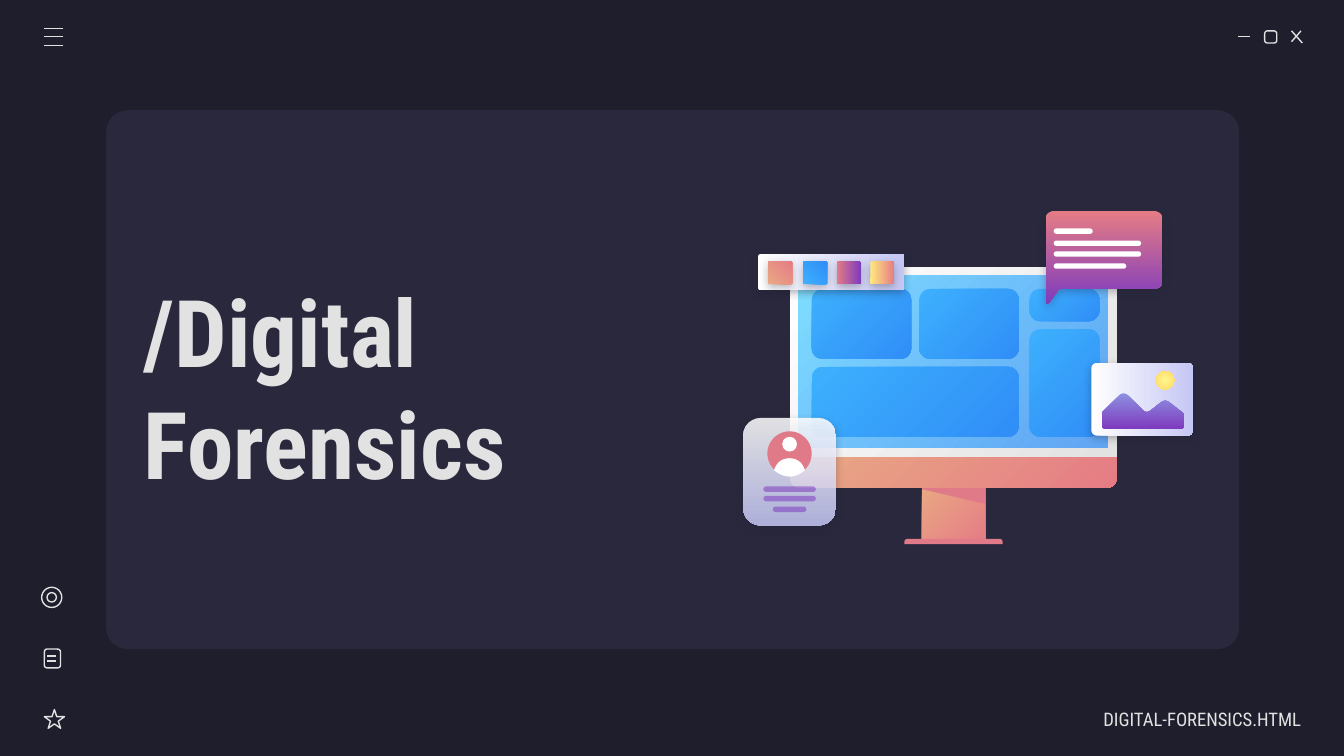
"""Build the Digital Forensics title slide with its monitor illustration."""
from dataclasses import dataclass
from typing import Optional

from lxml import etree
from pptx import Presentation
from pptx.dml.color import RGBColor
from pptx.enum.shapes import MSO_CONNECTOR, MSO_SHAPE
from pptx.enum.text import MSO_ANCHOR, MSO_AUTO_SIZE, PP_ALIGN
from pptx.oxml.ns import qn
from pptx.util import Inches, Pt

RECTANGLE = MSO_SHAPE.RECTANGLE
ROUNDED = MSO_SHAPE.ROUNDED_RECTANGLE
ROUND_TOP = MSO_SHAPE.ROUND_2_SAME_RECTANGLE
OVAL = MSO_SHAPE.OVAL
STAR = MSO_SHAPE.STAR_5_POINT
STRAIGHT = MSO_CONNECTOR.STRAIGHT
MIDDLE = MSO_ANCHOR.MIDDLE
NO_AUTOFIT = MSO_AUTO_SIZE.NONE
LEFT = PP_ALIGN.LEFT
RIGHT = PP_ALIGN.RIGHT
LIGHT = "E2E2E2"
DARK = "1E1E2C"
WHITE = "FFFFFF"
ROSE = "E07A88"
FONT = "Roboto Condensed"
CURVE_STEPS = 8


@dataclass
class Paint:
    """A solid or two-stop fill; no angle on a gradient means radial."""
    start: str
    end: Optional[str] = None
    angle: Optional[int] = None
    opacity: tuple = (100, 100)


@dataclass
class Box:
    """A preset shape; without paint it is a thin outlined icon."""
    kind: int
    left: float
    top: float
    width: float
    height: float
    paint: Optional[Paint] = None
    radius: float = 0
    shadow: bool = False
    rotation: int = 0


CORAL = Paint("E9A984", "E57C85", 45)
SKY = Paint("3DB0FD", "308EF7", 45)
SUNSET = Paint("E57C85", "7E3BBE", 90)
PAPER = Paint(WHITE, "C5C7F4", 90)
VIOLET = Paint("7E3BBE", opacity=(54, 54))


def rgb(value: str) -> RGBColor:
    """Turn a hex string into a colour."""
    return RGBColor.from_string(value)


def add_effect(parent, tag: str, **attributes):
    """Append a drawing element with the given attributes."""
    values = {name: str(value) for name, value in attributes.items()}
    return etree.SubElement(parent, qn(tag), values)


def apply_paint(shape, paint: Paint) -> None:
    """Fill a shape with a solid colour or a gradient."""
    fill = shape.fill
    if paint.end is None:
        fill.solid()
        fill.fore_color.rgb = rgb(paint.start)
    else:
        fill.gradient()
        for stop, color in zip(fill.gradient_stops, (paint.start, paint.end)):
            stop.color.rgb = rgb(color)
        if paint.angle is not None:
            fill.gradient_angle = 360 - paint.angle
        else:
            linear = shape.element.spPr.find(".//" + qn("a:lin"))
            gradient = linear.getparent()
            gradient.remove(linear)
            circle = add_effect(gradient, "a:path", path="circle")
            add_effect(circle, "a:fillToRect", l=50000, t=50000, r=50000, b=50000)
    for color, opacity in zip(shape.element.spPr.iter(qn("a:srgbClr")), paint.opacity):
        if opacity < 100:
            add_effect(color, "a:alpha", val=opacity * 1000)


def finish(shape, paint: Optional[Paint], shadow: bool = False) -> None:
    """Set the fill, outline and shadow of a shape."""
    shape.shadow.inherit = False
    if paint:
        apply_paint(shape, paint)
        shape.line.fill.background()
    else:
        shape.fill.background()
        shape.line.color.rgb = rgb(LIGHT)
        shape.line.width = Pt(0.75)
    if shadow:
        effects = shape.element.spPr.find(qn("a:effectLst"))
        outer = add_effect(effects, "a:outerShdw", blurRad=Pt(4.5), dist=Pt(1.5),
                           dir=5400000, algn="bl", rotWithShape=0)
        color = add_effect(outer, "a:srgbClr", val=DARK)
        add_effect(color, "a:alpha", val=30000)


def draw_box(slide, box: Box):
    """Draw one preset shape."""
    shape = slide.shapes.add_shape(box.kind, Inches(box.left), Inches(box.top),
                                   Inches(box.width), Inches(box.height))
    if box.radius:
        shape.adjustments[0] = min(0.5, box.radius / min(box.width, box.height))
    shape.rotation = box.rotation
    finish(shape, box.paint, box.shadow)
    return shape


def draw_line(slide, x1: float, y1: float, x2: float, y2: float) -> None:
    """Draw a thin icon stroke."""
    line = slide.shapes.add_connector(STRAIGHT, Inches(x1), Inches(y1), Inches(x2), Inches(y2))
    line.line.color.rgb = rgb(LIGHT)
    line.line.width = Pt(0.75)
    add_effect(line.element.spPr, "a:effectLst")


def round_corners(corners: list) -> list:
    """Replace each (x, y, radius) corner by points along a curve."""
    points = []
    for index, (x, y, radius) in enumerate(corners):
        ends = []
        for other in (corners[index - 1], corners[(index + 1) % len(corners)]):
            dx, dy = other[0] - x, other[1] - y
            share = radius / (dx * dx + dy * dy) ** 0.5
            ends.append((x + dx * share, y + dy * share))
        (x1, y1), (x2, y2) = ends
        steps = CURVE_STEPS if radius else 1
        for step in range(steps + 1 if radius else 1):
            t = step / steps
            a, b, c = (1 - t) ** 2, 2 * t * (1 - t), t * t
            points.append((a * x1 + b * x + c * x2, a * y1 + b * y + c * y2))
    return points


def draw_outline(slide, corners: list, paint: Paint, shadow: bool = False) -> None:
    """Draw a closed outline with rounded corners."""
    points = [(Inches(x), Inches(y)) for x, y in round_corners(corners)]
    builder = slide.shapes.build_freeform(*points[0])
    builder.add_line_segments(points[1:], close=True)
    finish(builder.convert_to_shape(), paint, shadow)


def fill_placeholder(shape, text: str, frame: tuple, size: int, align, bold: bool) -> None:
    """Place and format a text placeholder."""
    shape.left, shape.top, shape.width, shape.height = (Inches(value) for value in frame)
    text_frame = shape.text_frame
    text_frame.text = text
    text_frame.word_wrap = True
    text_frame.auto_size = NO_AUTOFIT
    text_frame.vertical_anchor = MIDDLE
    text_frame.margin_left = text_frame.margin_top = text_frame.margin_bottom = Inches(0.1)
    text_frame.margin_right = Inches(0 if align == RIGHT else 0.1)
    paragraph = text_frame.paragraphs[0]
    paragraph.alignment = align
    paragraph.space_before = Pt(0)
    font = paragraph.font
    font.name, font.size, font.bold = FONT, Pt(size), bold
    font.color.rgb = rgb(LIGHT)


def draw_icons(slide) -> None:
    """Draw the window controls, menu and side icons."""
    for stroke in ((9.21, 0.27, 9.3, 0.27), (9.61, 0.23, 9.69, 0.32), (9.68, 0.23, 9.61, 0.31)):
        draw_line(slide, *stroke)
    for y in (0.21, 0.27, 0.34):
        draw_line(slide, 0.33, y, 0.47, y)
    for box in (Box(ROUNDED, 9.41, 0.23, 0.09, 0.09, radius=0.02),
                Box(STAR, 0.33, 5.28, 0.15, 0.14),
                Box(ROUNDED, 0.33, 4.83, 0.12, 0.14, radius=0.02),
                Box(OVAL, 0.31, 4.37, 0.15, 0.15),
                Box(OVAL, 0.35, 4.41, 0.07, 0.07)):
        draw_box(slide, box)
    for y in (4.88, 4.92):
        draw_line(slide, 0.35, y, 0.42, y)


def draw_monitor(slide) -> None:
    """Draw the monitor with its tiled screen."""
    draw_box(slide, Box(RECTANGLE, 6.86, 3.61, 0.47, 0.43, CORAL))
    draw_box(slide, Box(ROUND_TOP, 6.73, 4.01, 0.73, 0.04, Paint(ROSE), 0.02))
    draw_outline(slide, [(6.86, 3.61, 0), (6.86, 3.64, 0), (7.33, 3.75, 0), (7.33, 3.61, 0)],
                 Paint(ROSE))
    chin = draw_box(slide, Box(ROUND_TOP, 5.88, 3.39, 2.43, 0.24, CORAL))
    chin.adjustments[0], chin.adjustments[1] = 0, 0.28
    draw_box(slide, Box(ROUND_TOP, 5.88, 1.99, 2.43, 1.41, Paint(WHITE, LIGHT, 45), 0.06))
    draw_box(slide, Box(RECTANGLE, 5.94, 2.05, 2.3, 1.28,
                        Paint("80DFFF", "318FFA", 45, (100, 72))))
    for tile in ((6.04, 2.15, 0.74, 0.52), (6.04, 2.73, 1.54, 0.52), (6.84, 2.15, 0.74, 0.52),
                 (7.66, 2.15, 0.52, 0.24), (7.66, 2.45, 0.52, 0.8)):
        draw_box(slide, Box(ROUNDED, *tile, SKY, 0.08))


def draw_cards(slide) -> None:
    """Draw the speech bubble, profile, photo and swatch cards."""
    draw_outline(slide, [(7.78, 1.57, 0.07), (8.65, 1.57, 0.07), (8.65, 2.15, 0.07),
                         (7.88, 2.15, 0), (7.8, 2.26, 0.02), (7.78, 2.26, 0.01)], SUNSET, True)
    for top, width in ((1.7, 0.29), (1.79, 0.65), (1.87, 0.65), (1.96, 0.54)):
        draw_box(slide, Box(ROUNDED, 7.84, top, width, 0.04, Paint(WHITE), 0.02))
    draw_box(slide, Box(ROUNDED, 5.53, 3.11, 0.69, 0.8,
                        Paint(WHITE, "C5C7F4", 90, (86, 86)), 0.13, True))
    draw_box(slide, Box(OVAL, 5.71, 3.21, 0.33, 0.33, Paint(ROSE)))
    draw_box(slide, Box(OVAL, 5.82, 3.25, 0.11, 0.11, Paint(WHITE)))
    draw_outline(slide, [(5.76, 3.5, 0), (5.79, 3.41, 0.09), (5.96, 3.41, 0.09),
                         (5.99, 3.5, 0), (5.88, 3.59, 0.14)], Paint(WHITE))
    for left, top, width in ((5.68, 3.62, 0.39), (5.68, 3.69, 0.39), (5.75, 3.77, 0.25)):
        draw_box(slide, Box(ROUNDED, left, top, width, 0.04, VIOLET, 0.02))
    draw_box(slide, Box(ROUNDED, 8.23, 2.59, 0.54, 0.76, PAPER, 0.04, True, 270))
    draw_outline(slide, [(8.2, 3.07, 0.01), (8.36, 2.91, 0.05), (8.53, 3.08, 0.04),
                         (8.67, 2.97, 0.04), (8.81, 3.08, 0.01), (8.81, 3.19, 0.03),
                         (8.2, 3.19, 0.03)], Paint("8D90E1", "7E3BBE", 90))
    draw_box(slide, Box(OVAL, 8.6, 2.76, 0.14, 0.14, Paint("FFF68E", "FFD966")))
    draw_box(slide, Box(ROUNDED, 6.05, 1.48, 0.27, 1.09, PAPER, 0.02, True, 270))
    for left, paint in zip((5.72, 5.98, 6.23, 6.48),
                           (CORAL, SKY, SUNSET, Paint("FFEA7D", "E57C85", 90))):
        draw_box(slide, Box(ROUNDED, left, 1.94, 0.17, 0.18, paint, 0.01, True, 270))


def main() -> None:
    """Assemble and save the slide."""
    presentation = Presentation()
    presentation.slide_width = Inches(10)
    presentation.slide_height = Inches(10) * 9 // 16
    slide = presentation.slides.add_slide(presentation.slide_layouts[0])
    slide.background.fill.solid()
    slide.background.fill.fore_color.rgb = rgb(DARK)
    title, subtitle = slide.placeholders
    panel = draw_box(slide, Box(ROUNDED, 0.79, 0.82, 8.43, 4.01, Paint("29283D"), 0.16))
    title.element.addprevious(panel.element)
    fill_placeholder(title, "/Digital Forensics", (0.97, 1.99, 4.47, 1.76), 50, LEFT, True)
    fill_placeholder(subtitle, "DIGITAL-FORENSICS.HTML", (7.84, 5.2, 1.84, 0.3), 10,
                     RIGHT, False)
    draw_icons(slide)
    draw_monitor(slide)
    draw_cards(slide)
    presentation.save("out.pptx")


if __name__ == "__main__":
    main()
